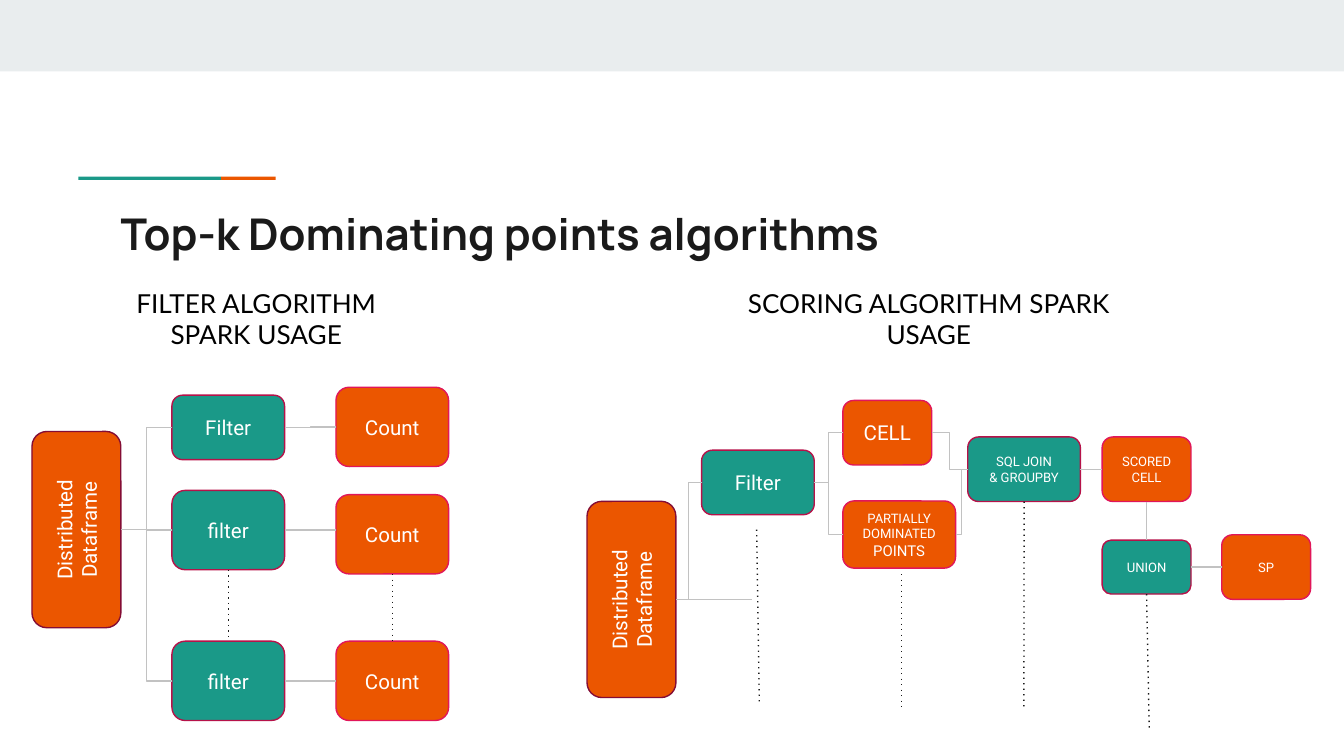
from lxml import etree
from pptx import Presentation, util as u
from pptx.dml.color import RGBColor
from pptx.enum import dml, shapes, text
from pptx.oxml import ns

GREY = RGBColor(0xE9, 0xED, 0xEE)
TEAL = RGBColor(0x1A, 0x99, 0x88)
ORANGE = RGBColor(0xEB, 0x56, 0x00)
INK = RGBColor(0x1A, 0x1A, 0x1A)
BLACK = RGBColor(0x00, 0x00, 0x00)
WHITE = RGBColor(0xFF, 0xFF, 0xFF)
LINK = RGBColor(0xC2, 0xC2, 0xC2)
WINE = RGBColor(0x84, 0x0D, 0x35)
CRIMSON = RGBColor(0xB6, 0x12, 0x49)
PINK = RGBColor(0xE1, 0x16, 0x5A)

WIDE, NARROW = 2.13, 1.68
LOW, TALL = 1.22, 1.5
TOP, LEFT, BOTTOM, RIGHT = range(4)


class Diagram:
    """Holds the slide and the shared style; all lengths are in centimetres."""

    inset = u.Cm(0.25)
    stroke = u.Pt(0.75)

    def __init__(self, slide):
        self.shapes = slide.shapes

    def bar(self, left, top, width, height, fill):
        bar = self.shapes.add_shape(shapes.MSO_SHAPE.RECTANGLE, *map(u.Cm, (left, top, width, height)))
        bar.shadow.inherit = False
        bar.fill.solid()
        bar.fill.fore_color.rgb = fill
        bar.line.fill.background()

    def fill_text(self, frame, words, size, font, color, align, bold=False):
        frame.word_wrap = True
        frame.margin_left = frame.margin_right = self.inset
        frame.margin_top = frame.margin_bottom = self.inset
        frame.text = words
        for paragraph in frame.paragraphs:
            paragraph.alignment = align
            for run in paragraph.runs:
                self.style_run(run, size, font, color, bold)

    def style_run(self, run, size, font, color, bold=False):
        run.font.size = u.Pt(size)
        run.font.name = font
        run.font.color.rgb = color
        run.font.bold = bold

    def label(self, left, top, width, height, words, size, font, color,
              align=text.PP_ALIGN.CENTER, bold=False):
        label = self.shapes.add_textbox(*map(u.Cm, (left, top, width, height)))
        self.fill_text(label.text_frame, words, size, font, color, align, bold)
        return label

    def step(self, left, top, width, height, words, fill, edge, size=11):
        step = self.shapes.add_shape(shapes.MSO_SHAPE.ROUNDED_RECTANGLE,
                                     *map(u.Cm, (left, top, width, height)))
        step.shadow.inherit = False
        step.fill.solid()
        step.fill.fore_color.rgb = fill
        step.line.color.rgb = edge
        step.line.width = self.stroke
        step.text_frame.vertical_anchor = text.MSO_ANCHOR.MIDDLE
        self.fill_text(step.text_frame, words, size, "Roboto", WHITE, text.PP_ALIGN.CENTER)
        return step

    def teal(self, left, top, width, height, words, size=11):
        return self.step(left, top, width, height, words, TEAL, CRIMSON, size)

    def orange(self, left, top, width, height, words, size=11):
        return self.step(left, top, width, height, words, ORANGE, PINK, size)

    def dataframe(self, left, top):
        """Upright source box, turned so that its text reads upwards."""
        source = self.step(left, top, 3.71, NARROW, "Distributed Dataframe", ORANGE, WINE)
        source.rotation = 270
        return source

    def place(self, end):
        """Point of an end, given as (shape, side) or as (x, y)."""
        if not hasattr(end[0], "left"):
            return u.Cm(end[0]), u.Cm(end[1])
        shape, side = end
        x, y = shape.left + shape.width // 2, shape.top + shape.height // 2
        if shape.rotation:  # the bottom side faces right
            return x + shape.height // 2, y
        dx, dy = ((0, -1), (-1, 0), (0, 1), (1, 0))[side]
        return x + dx * shape.width // 2, y + dy * shape.height // 2

    def join(self, begin, end, kind=shapes.MSO_CONNECTOR.ELBOW, color=LINK, dotted=False):
        start, stop = self.place(begin), self.place(end)
        link = self.shapes.add_connector(kind, *start, *stop)
        if hasattr(begin[0], "left"):
            link.begin_connect(*begin)
            link.begin_x, link.begin_y = start
        if hasattr(end[0], "left"):
            link.end_connect(*end)
        link.line.color.rgb = color
        link.line.width = self.stroke
        if dotted:
            link.line.dash_style = dml.MSO_LINE.ROUND_DOT
            for dash in link.element.iter(ns.qn("a:prstDash")):
                dash.set("val", "dot")
        etree.SubElement(link.element.spPr, ns.qn("a:effectLst"))

    def dots(self, begin, end):
        self.join(begin, end, shapes.MSO_CONNECTOR.STRAIGHT, INK, True)


def main():
    deck = Presentation()
    deck.slide_width, deck.slide_height = u.Cm(25.4), u.Cm(14.29)
    d = Diagram(deck.slides.add_slide(deck.slide_layouts[6]))

    # Header band, accent rule and title
    d.bar(0, 0, 25.4, 1.35, GREY)
    d.bar(1.48, 3.34, 2.7, 0.06, TEAL)
    d.bar(4.18, 3.34, 1.03, 0.06, ORANGE)
    d.label(2.03, 3.66, 21.36, 1.5, "Top-k Dominating points algorithms", 23.4,
            "Manrope", INK, text.PP_ALIGN.LEFT, True)

    # Captions
    for left, width, words in ((2.29, 5.11, "FILTER ALGORITHM SPARK USAGE"),
                               (13.39, 8.33, "SCORING ALGORITHM SPARK USAGE")):
        caption = d.label(left, 5.18, width, 1.7, words, 14, "Lato", BLACK)
        caption.text_frame.auto_size = text.MSO_AUTO_SIZE.SHAPE_TO_FIT_TEXT

    # Filter algorithm
    source = d.dataframe(-0.41, 9.17)
    rows = []
    for words, filter_top, height, count_top in (("Filter", 7.47, LOW, 7.32),
                                                 ("filter", 9.27, TALL, 9.35),
                                                 ("filter", 12.12, TALL, 12.12)):
        filter_step = d.teal(3.25, filter_top, WIDE, height, words)
        count = d.orange(6.35, count_top, WIDE, TALL, "Count")
        level = filter_top + height / 2
        aligned = abs(count_top + TALL / 2 - level) < 0.02
        d.join((source, BOTTOM), (filter_step, LEFT))
        d.join((filter_step, RIGHT), (count, LEFT) if aligned else (6.35, level))
        rows.append((filter_step, count))
    for upper, lower in zip(rows[1], rows[2]):
        d.dots((upper, BOTTOM), (lower, TOP))

    # Scoring algorithm: steps
    source = d.dataframe(10.08, 10.49)
    scoring_filter = d.teal(13.26, 8.51, WIDE, LOW, "Filter")
    cell = d.orange(15.93, 7.57, NARROW, LOW, "CELL")
    partial = d.orange(15.93, 9.47, WIDE, 1.27, "PARTIALLY DOMINATED ", 7)
    points = partial.text_frame.paragraphs[0].add_run()
    points.text = "POINTS"
    d.style_run(points, 8, "Roboto", WHITE)
    sql_join = d.teal(18.29, 8.26, WIDE, LOW, "SQL JOIN\n& GROUPBY", 7)
    scored = d.orange(20.83, 8.26, NARROW, LOW, "SCORED CELL", 7)
    union = d.teal(20.83, 10.21, NARROW, 1.02, "UNION", 7)
    sp = d.orange(23.09, 10.11, NARROW, LOW, "SP", 7)

    # Scoring algorithm: flow
    d.join((source, BOTTOM), (scoring_filter, LEFT))
    d.join((source, BOTTOM), (14.22, 11.33))
    for before, after in ((scoring_filter, cell), (scoring_filter, partial), (cell, sql_join),
                          (partial, sql_join), (sql_join, scored), (union, sp)):
        d.join((before, RIGHT), (after, LEFT))
    d.join((scored, BOTTOM), (union, TOP), shapes.MSO_CONNECTOR.STRAIGHT)

    # Scoring algorithm: continuation dots
    d.dots((14.3, 10.01), (14.35, 13.28))
    d.dots((17.04, 10.85), (17.04, 13.41))
    d.dots((sql_join, BOTTOM), (19.35, 13.41))
    d.dots((union, BOTTOM), (21.72, 13.79))

    deck.save("out.pptx")


if __name__ == "__main__":
    main()
